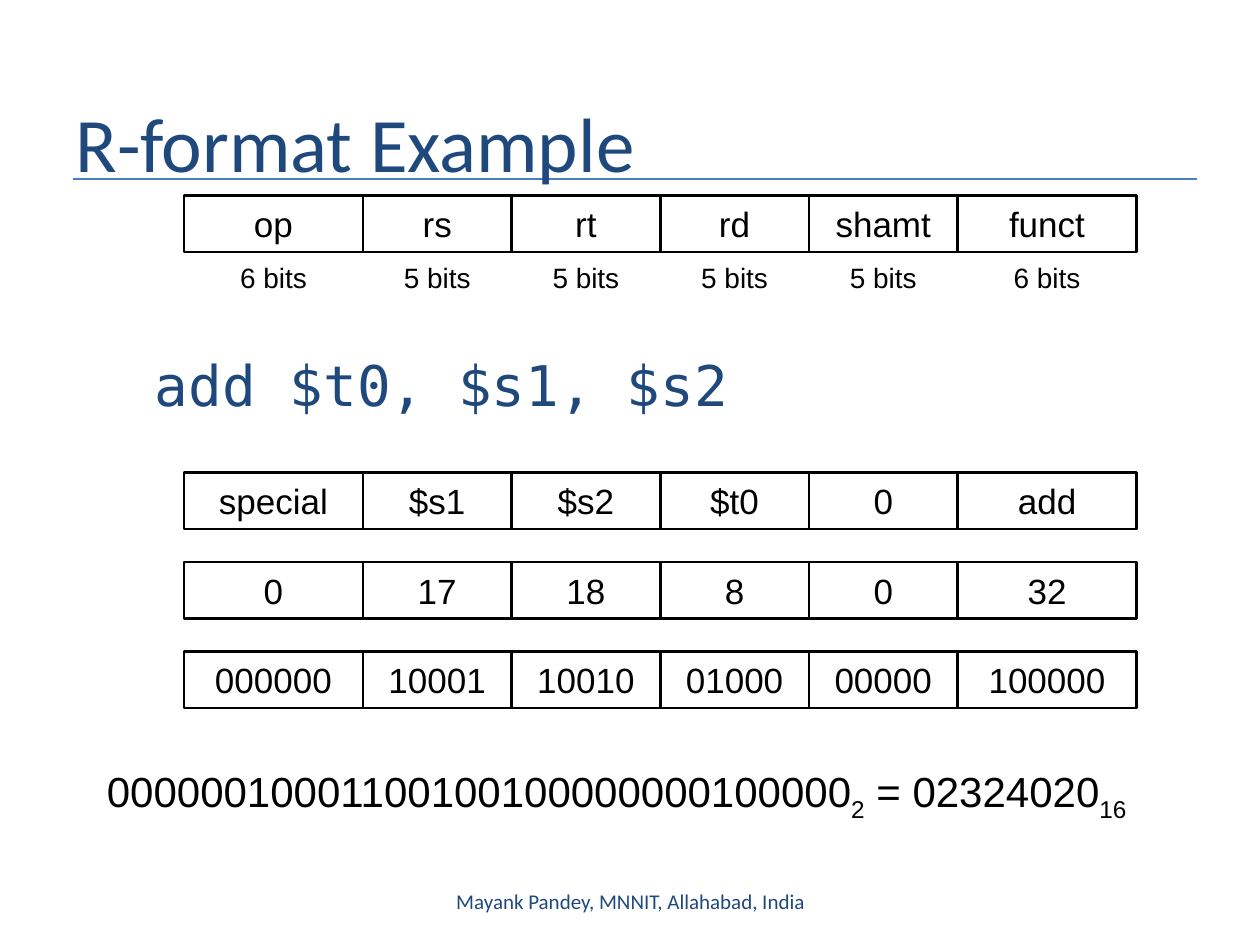
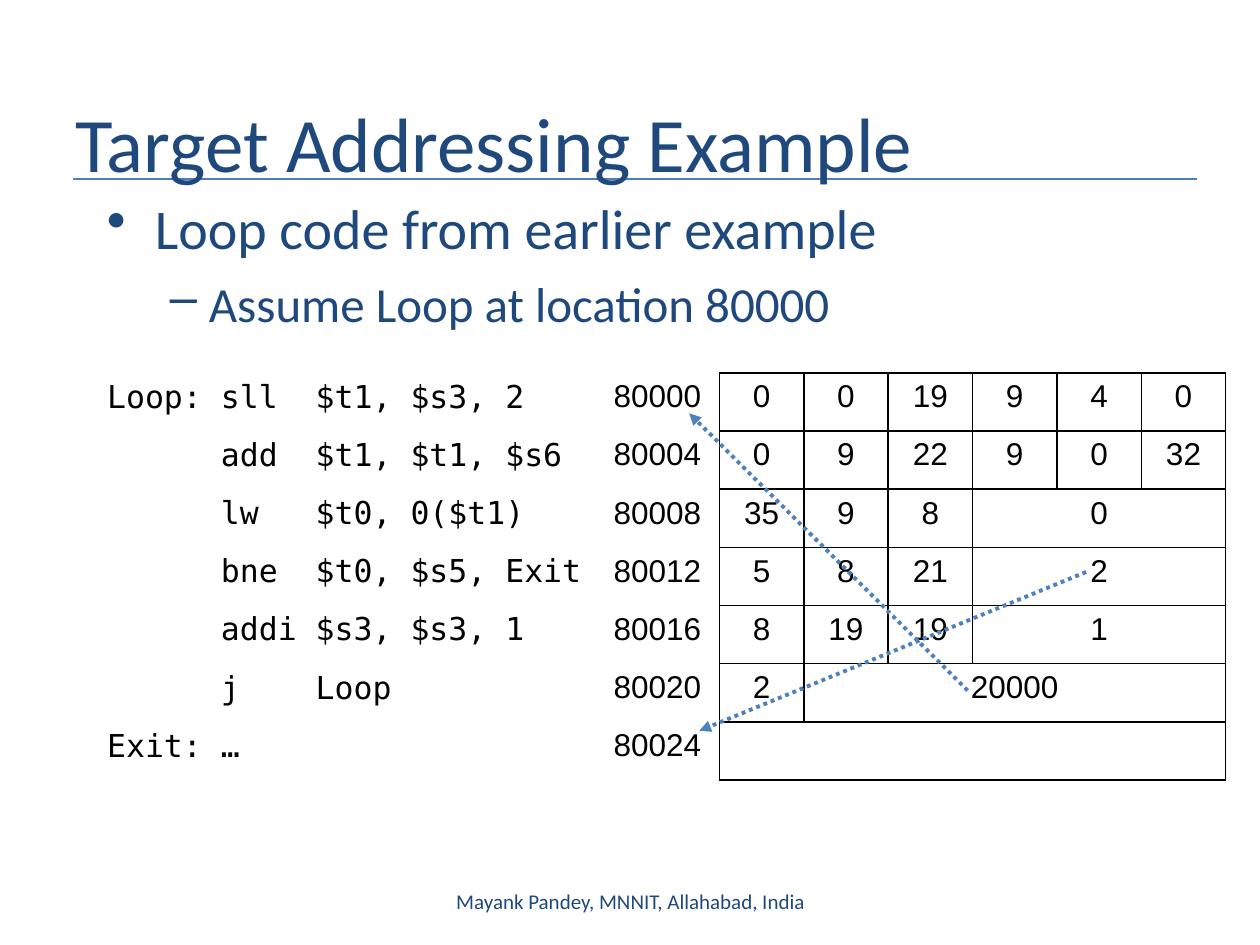
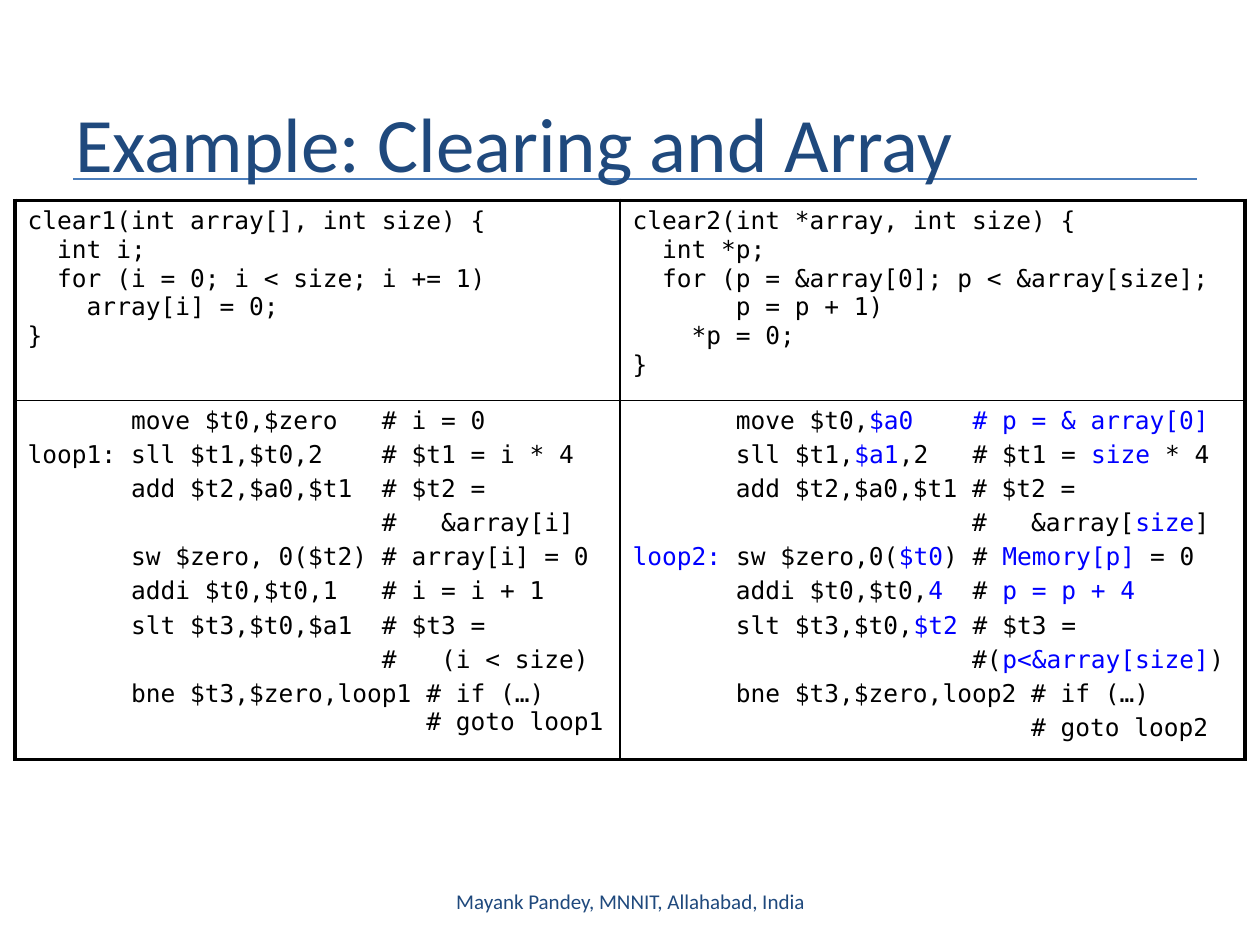
from pptx import Presentation
from pptx.dml.color import RGBColor
from pptx.enum.dml import MSO_LINE
from pptx.enum.shapes import MSO_CONNECTOR, MSO_SHAPE
from pptx.enum.text import MSO_ANCHOR, PP_ALIGN
from pptx.oxml.ns import qn
from pptx.oxml.xmlchemy import OxmlElement
from pptx.util import Inches, Pt

NAVY = RGBColor(0x1F, 0x49, 0x7D)
RULE_BLUE = RGBColor(0x4B, 0x7E, 0xBC)
ARROW_BLUE = RGBColor(0x4F, 0x81, 0xBD)
CODE_BLUE = RGBColor(0x00, 0x00, 0xFF)
BLACK = RGBColor(0, 0, 0)
WHITE = RGBColor(0xFF, 0xFF, 0xFF)
MONO = "DejaVu Sans Mono"
TITLES = ["R-format Example", "Target Addressing Example", "Example: Clearing and Array"]
FOOTER = "Mayank Pandey, MNNIT, Allahabad, India"


def write(tf, lines, size, font, color=BLACK, accent=CODE_BLUE, align=PP_ALIGN.LEFT, space=0):
    """Write one paragraph per line; text between bars takes the accent colour."""
    tf.word_wrap = True
    for i, line in enumerate(lines):
        p = tf.add_paragraph() if i else tf.paragraphs[0]
        p.alignment = align
        if i:
            p.space_before = Pt(space)
        for j, part in enumerate(line.split("|")):
            if part:
                r = p.add_run()
                r.text = part
                r.font.size = Pt(size)
                r.font.name = font
                r.font.color.rgb = accent if j % 2 else color


def set_borders(cell, **sides):
    """Draw the sides L, R, T and B, each given as (colour, points)."""
    tcPr = cell._tc.get_or_add_tcPr()
    for side in "LRTB":
        color, width = sides[side]
        ln = OxmlElement(f"a:ln{side}")
        ln.set("w", str(Pt(width)))
        fill = OxmlElement("a:solidFill")
        clr = OxmlElement("a:srgbClr")
        clr.set("val", str(color))
        fill.append(clr)
        ln.append(fill)
        tcPr.append(ln)


prs = Presentation()
prs.slide_width, prs.slide_height = Inches(10), Inches(7.5)

# Shared frame: title, rule and footer
for title in TITLES:
    s = prs.slides.add_slide(prs.slide_layouts[6])
    rule = s.shapes.add_connector(MSO_CONNECTOR.STRAIGHT, Inches(0.58), Inches(1.42),
                                  Inches(9.5), Inches(1.42))
    rule.line.color.rgb = RULE_BLUE
    rule.line.width = Pt(0.75)
    rule._element.spPr.append(OxmlElement("a:effectLst"))
    tf = s.shapes.add_textbox(Inches(0.5), Inches(0.5), Inches(9), Inches(1.25)).text_frame
    tf.vertical_anchor = MSO_ANCHOR.MIDDLE
    write(tf, [title], 44, "Calibri", NAVY)
    tf = s.shapes.add_textbox(Inches(3.42), Inches(6.95), Inches(3.17), Inches(0.4)).text_frame
    tf.vertical_anchor = MSO_ANCHOR.MIDDLE
    write(tf, [FOOTER], 12, "Calibri", NAVY, align=PP_ALIGN.CENTER)

format_slide, target_slide, array_slide = prs.slides

# Slide 1: instruction fields
FIELD_WIDTHS = [1.42, 1.18, 1.18, 1.18, 1.18, 1.42]
FIELD_ROWS = [
    (1.55, ["op", "rs", "rt", "rd", "shamt", "funct"]),
    (3.75, ["special", "$s1", "$s2", "$t0", "0", "add"]),
    (4.46, ["0", "17", "18", "8", "0", "32"]),
    (5.17, ["000000", "10001", "10010", "01000", "00000", "100000"]),
]
for top, values in FIELD_ROWS:
    left = 1.46
    for width, value in zip(FIELD_WIDTHS, values):
        sp = format_slide.shapes.add_shape(MSO_SHAPE.RECTANGLE, Inches(left), Inches(top),
                                           Inches(width), Inches(0.45))
        sp.shadow.inherit = False
        sp.fill.background()
        sp.line.color.rgb = BLACK
        sp.line.width = Pt(1.5)
        write(sp.text_frame, [value], 20, "Arial", align=PP_ALIGN.CENTER)
        left += width

left = 1.46
for width, bits in zip(FIELD_WIDTHS, [6, 5, 5, 5, 5, 6]):
    sp = format_slide.shapes.add_textbox(Inches(left), Inches(2.02), Inches(width), Inches(0.37))
    write(sp.text_frame, [f"{bits} bits"], 16, "Arial", align=PP_ALIGN.CENTER)
    left += width

sp = format_slide.shapes.add_textbox(Inches(1.13), Inches(2.73), Inches(8.67), Inches(0.71))
write(sp.text_frame, ["add $t0, $s1, $s2"], 32, MONO, NAVY)

sp = format_slide.shapes.add_textbox(Inches(0.75), Inches(6.03), Inches(8.9), Inches(0.55))
write(sp.text_frame, ["00000010001100100100000000100000|2| = 02324020|16"], 24, "Arial",
      accent=BLACK)
for r in sp.text_frame.paragraphs[0].runs[1::2]:
    r.font._element.set("baseline", "-25000")

# Slide 2: loop code with addresses and fields
sp = target_slide.shapes.add_textbox(Inches(0.75), Inches(1.49), Inches(9.05), Inches(1.34))
tf = sp.text_frame
write(tf, ["Loop code from earlier example", "Assume Loop at location 80000"], 32, "Calibri",
      NAVY, space=7)
tf.paragraphs[1].runs[0].font.size = Pt(28)
for p, bullet, margin, hang in zip(tf.paragraphs, "•–", [0.38, 0.81], [0.38, 0.31]):
    pPr = p._p.get_or_add_pPr()
    pPr.set("marL", str(Inches(margin)))
    pPr.set("indent", str(-Inches(hang)))
    bu = OxmlElement("a:buChar")
    bu.set("char", bullet)
    pPr.append(bu)

# The last field of a short row spans the remaining columns
LOOP_CODE = [
    ("Loop: sll  $t1, $s3, 2", ["0", "0", "19", "9", "4", "0"]),
    ("      add  $t1, $t1, $s6", ["0", "9", "22", "9", "0", "32"]),
    ("      lw   $t0, 0($t1)", ["35", "9", "8", "0"]),
    ("      bne  $t0, $s5, Exit", ["5", "8", "21", "2"]),
    ("      addi $s3, $s3, 1", ["8", "19", "19", "1"]),
    ("      j    Loop", ["2", "20000"]),
    ("Exit: …", [""]),
]
black, white = (BLACK, 1), (WHITE, 1)
table = target_slide.shapes.add_table(7, 8, Inches(0.75), Inches(2.96),
                                      Inches(8.97), Inches(3.23)).table
table.first_row = table.horz_banding = False
for col, width in zip(table.columns, [4.02, 0.94] + [0.67] * 6):
    col.width = Inches(width)
for i, (code, fields) in enumerate(LOOP_CODE):
    for j in range(8):
        cell = table.cell(i, j)
        edge = black if j > 1 else white
        set_borders(cell, L=edge, R=black if j else white, T=edge, B=edge)
        cell.fill.background()
    write(table.cell(i, 0).text_frame, [code], 18, MONO)
    write(table.cell(i, 1).text_frame, [str(80000 + 4 * i)], 18, "Arial")
    for j, field in enumerate(fields, 2):
        write(table.cell(i, j).text_frame, [field], 18, "Arial", align=PP_ALIGN.CENTER)
    if len(fields) < 6:
        table.cell(i, 1 + len(fields)).merge(table.cell(i, 7))

for x1, y1, x2, y2 in [(7.68, 5.48, 5.47, 3.28), (8.62, 4.54, 5.55, 5.8)]:
    jump = target_slide.shapes.add_connector(MSO_CONNECTOR.STRAIGHT, Inches(x1), Inches(y1),
                                             Inches(x2), Inches(y2))
    jump.line.color.rgb = ARROW_BLUE
    jump.line.width = Pt(2.25)
    jump.line.dash_style = MSO_LINE.ROUND_DOT
    jump.line._get_or_add_ln().find(qn("a:prstDash")).set("val", "sysDot")
    head = OxmlElement("a:tailEnd")
    head.set("type", "triangle")
    jump.line._get_or_add_ln().append(head)
    jump._element.spPr.append(OxmlElement("a:effectLst"))

# Slide 3: array and pointer versions side by side
CLEAR_CODE = [
    [
        [
            "clear1(int array[], int size) {",
            "  int i;",
            "  for (i = 0; i < size; i += 1)",
            "    array[i] = 0;",
            "}",
        ],
        [
            "clear2(int *array, int size) {",
            "  int *p;",
            "  for (p = &array[0]; p < &array[size];",
            "       p = p + 1)",
            "    *p = 0;",
            "}",
        ],
    ],
    [
        [
            "       move $t0,$zero   # i = 0",
            "loop1: sll $t1,$t0,2    # $t1 = i * 4",
            "       add $t2,$a0,$t1  # $t2 =",
            "                        #   &array[i]",
            "       sw $zero, 0($t2) # array[i] = 0",
            "       addi $t0,$t0,1   # i = i + 1",
            "       slt $t3,$t0,$a1  # $t3 =",
            "                        #   (i < size)",
            "       bne $t3,$zero,loop1 # if (…)",
            "                           # goto loop1",
        ],
        [
            "       move $t0,|$a0    # p = & array[0]",
            "       sll $t1,|$a1|,2   # $t1 = |size| * 4",
            "       add $t2,$a0,$t1 # $t2 =",
            "                       #   &array[|size|]",
            "|loop2:| sw $zero,0(|$t0|) # |Memory[p]| = 0",
            "       addi $t0,$t0,|4|  # |p = p + 4",
            "       slt $t3,$t0,|$t2| # $t3 =",
            "                       #(|p<&array[size]|)",
            "       bne $t3,$zero,loop2 # if (…)",
            "                           # goto loop2",
        ],
    ],
]
outer, inner = (BLACK, 2.25), (BLACK, 1)
table = array_slide.shapes.add_table(2, 2, Inches(0.12), Inches(1.59),
                                     Inches(9.76), Inches(4.44)).table
table.first_row = table.horz_banding = False
for col, width in zip(table.columns, [4.8, 4.96]):
    col.width = Inches(width)
for row, height in zip(table.rows, [1.59, 2.85]):
    row.height = Inches(height)
for i, code_row in enumerate(CLEAR_CODE):
    for j, lines in enumerate(code_row):
        cell = table.cell(i, j)
        set_borders(cell, L=inner if j else outer, R=outer if j else inner,
                    T=inner if i else outer, B=outer if i else inner)
        cell.fill.solid()
        cell.fill.fore_color.rgb = WHITE
        write(cell.text_frame, lines, 14, MONO, space=3 * i)
# The loop1 comment continues the line above it
table.cell(1, 0).text_frame.paragraphs[-1].space_before = Pt(0)

prs.save("out.pptx")
